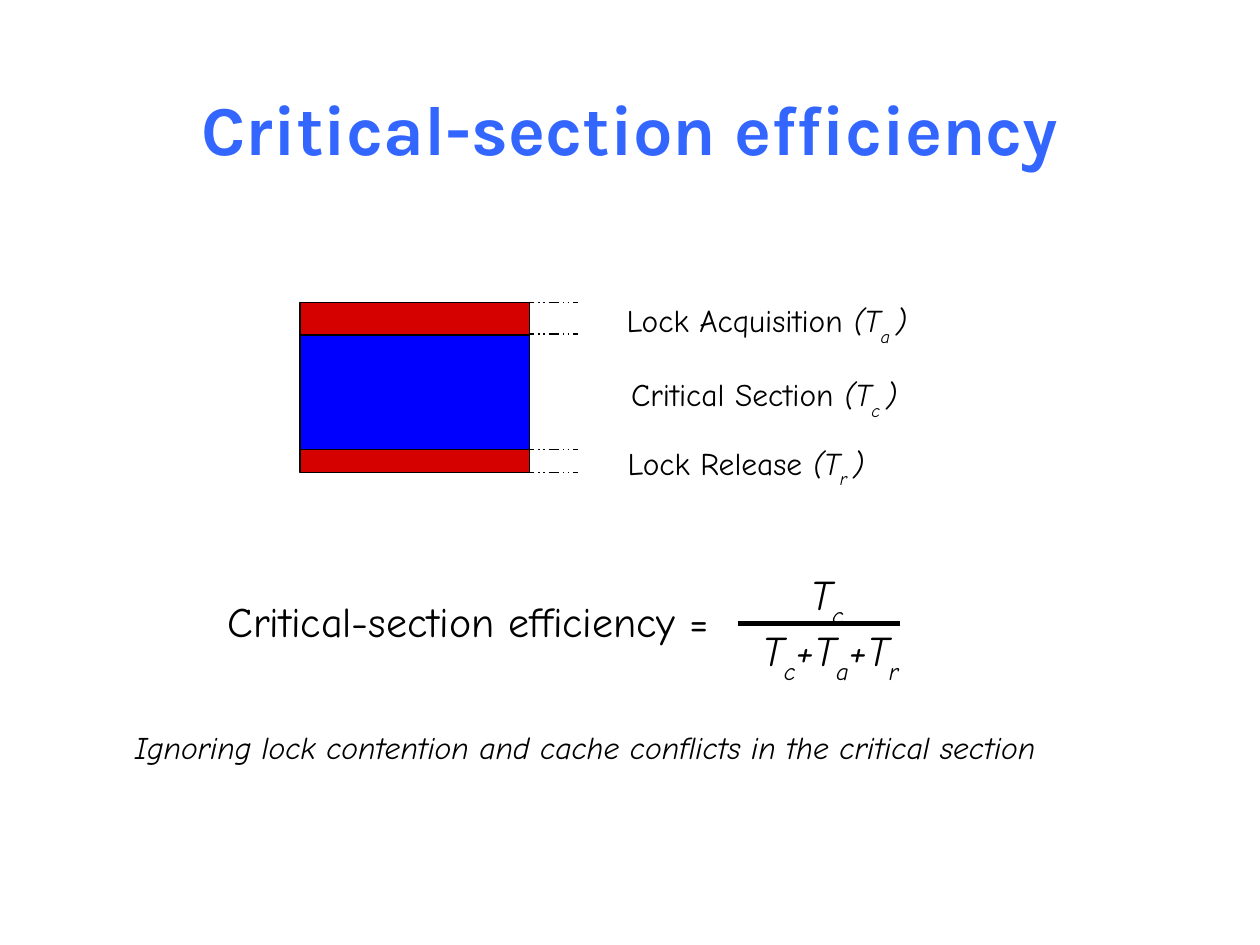
from lxml import etree
from pptx import Presentation
from pptx.dml.color import RGBColor
from pptx.enum import dml, shapes, text
from pptx.oxml.ns import qn
from pptx.util import Inches, Pt

# Content: in each run list, "_x" is subscript and "/x" is italic
TITLE = "Critical-section efficiency"
LABELS = [  # runs, left, top, width
    (["Lock Acquisition ", "/(T", "_a ", "/)"], 4.81, 2.39, 2.55),
    (["Critical Section ", "/(T", "_c ", "/)"], 4.83, 2.98, 2.47),
    (["Lock Release ", "/(T", "_r ", "/)"], 4.85, 3.52, 2.14),
]
FORMULA = [
    (["Critical-section efficiency ="], 1.52, 4.75, 4.39),
    (["/T", "_c"], 6.35, 4.51, 0.43),
    (["/T", "_c", "/+T", "_a", "/+T", "_r"], 5.87, 4.96, 1.44),
]
FOOTNOTE = (["/Ignoring lock contention and cache conflicts in the critical section"],
            1.07, 5.8, 7.88)
PHASES = [("critical", 2.66, 0.92), ("lock", 2.4, 0.26), ("lock", 3.57, 0.18)]
GUIDE_TOPS = [2.4, 2.65, 3.57, 3.75]

THEME = {
    "title": "3366FF", "text": "000000", "line": "000000",
    "critical": "0000FF", "lock": "D50101",
    "title_font": "Karla", "body_font": "Comic Neue",
    "title_size": 40, "formula_size": 24, "label_size": 18,
    "thin": 0.75, "bar": 2.83,
}
BAR_LEFT, BAR_WIDTH = 2.38, 1.82


def color(name):
    return RGBColor.from_string(THEME[name])


def apply(target, values):
    for name, value in values.items():
        setattr(target, name, value)


def place(shape, left, top, width, height):
    apply(shape, {"left": Inches(left), "top": Inches(top),
                  "width": Inches(width), "height": Inches(height)})


def style_line(line, width, dash=None):
    line.color.rgb = color("line")
    line.width = Pt(THEME[width])
    if dash:
        line.dash_style = dash


def add_line(slide, left, right, top, width, dash=None):
    line = slide.shapes.add_connector(
        shapes.MSO_CONNECTOR.STRAIGHT,
        Inches(left), Inches(top), Inches(right), Inches(top))
    style_line(line.line, width, dash)
    etree.SubElement(line._element.spPr, qn("a:effectLst"))


def add_text(slide, runs, left, top, width, size, align=text.PP_ALIGN.CENTER):
    height = 0.39 if size == "formula_size" else 0.29
    box = slide.shapes.add_textbox(
        Inches(left), Inches(top), Inches(width), Inches(height))
    frame = box.text_frame
    apply(frame, {"margin_left": 0, "margin_right": 0, "margin_top": 0,
                  "margin_bottom": 0, "word_wrap": False,
                  "auto_size": text.MSO_AUTO_SIZE.SHAPE_TO_FIT_TEXT})
    paragraph = frame.paragraphs[0]
    apply(paragraph, {"alignment": align, "line_spacing": 0.96,
                      "space_before": Pt(7.7)})
    for part in runs:
        run = paragraph.add_run()
        run.text = part.lstrip("_/")
        apply(run.font, {"name": THEME["body_font"], "size": Pt(THEME[size]),
                         "italic": part[0] in "_/"})
        run.font.color.rgb = color("text")
        if part[0] == "_":
            run._r.get_or_add_rPr().set("baseline", "-33000")


def main():
    presentation = Presentation()
    apply(presentation, {"slide_width": Inches(10), "slide_height": Inches(7.5)})
    slide = presentation.slides.add_slide(presentation.slide_layouts[5])

    # Title
    title = slide.shapes.title
    place(title, 0.73, 0.62, 8.54, 0.79)
    title.text_frame.text = TITLE
    title.text_frame.vertical_anchor = text.MSO_ANCHOR.MIDDLE
    paragraph = title.text_frame.paragraphs[0]
    paragraph.alignment = text.PP_ALIGN.CENTER
    font = paragraph.runs[0].font
    apply(font, {"name": THEME["title_font"], "bold": True,
                 "size": Pt(THEME["title_size"])})
    font.color.rgb = color("title")

    # Dashed guides behind the stacked phases
    for top in GUIDE_TOPS:
        add_line(slide, 4.16, 4.59, top, "thin", dml.MSO_LINE.DASH_DOT_DOT)

    # Phase labels, formula and footnote
    for label in LABELS:
        add_text(slide, *label, "label_size")
    for term in FORMULA:
        add_text(slide, *term, "formula_size")
    add_line(slide, 5.86, 7.14, 4.95, "bar")
    add_text(slide, *FOOTNOTE, "label_size", text.PP_ALIGN.LEFT)

    # Stacked phases
    for fill, top, height in PHASES:
        block = slide.shapes.add_shape(
            shapes.MSO_SHAPE.ROUNDED_RECTANGLE, Inches(BAR_LEFT), Inches(top),
            Inches(BAR_WIDTH), Inches(height))
        block.adjustments[0] = 0
        block.shadow.inherit = False
        block.fill.solid()
        block.fill.fore_color.rgb = color(fill)
        style_line(block.line, "thin")

    presentation.save("out.pptx")


if __name__ == "__main__":
    main()
